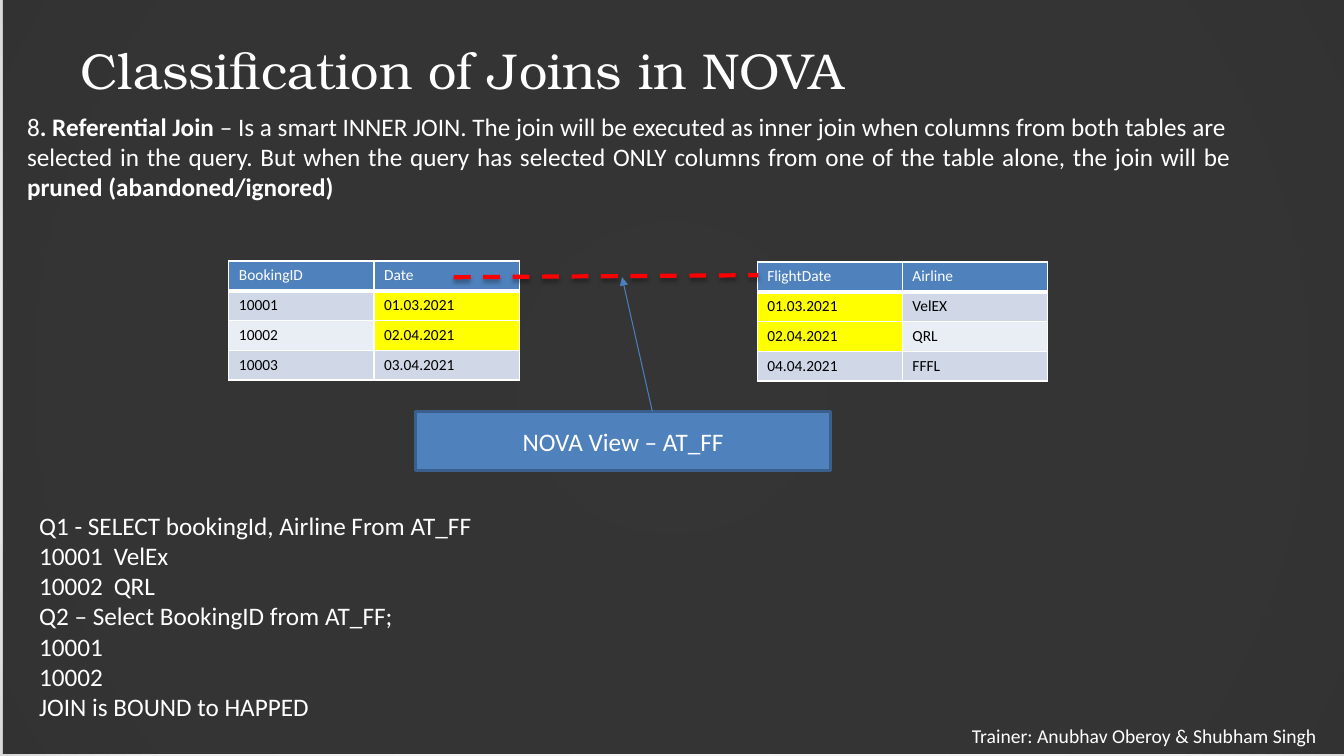
from lxml.etree import SubElement
from pptx import Presentation
from pptx.dml.color import RGBColor
from pptx.enum.dml import MSO_LINE
from pptx.enum.shapes import MSO_CONNECTOR, MSO_SHAPE
from pptx.enum.text import MSO_ANCHOR, MSO_AUTO_SIZE, PP_ALIGN
from pptx.oxml import parse_xml
from pptx.oxml.ns import nsdecls, qn
from pptx.util import Inches, Pt

COLORS = {
    "white": "FFFFFF", "black": "000000", "overlay": "262626",
    "header": "4F81BD", "box_line": "3A5F8C", "arrow": "4B7EBC",
    "odd": "D0D8E8", "even": "E9EDF4", "match": "FFFF00", "join": "FF0000",
}
BACKGROUND_STOPS = [(0, "FFFFFF"), (81, "EEEEEE"), (100, "D9D9D9")]

TITLE = "Classification of Joins in NOVA"
# A paragraph is a list of (text, bold) runs.
DEFINITION = [
    [("8", False), (". Referential Join ", True),
     ("– Is a smart INNER JOIN. The join will be executed as inner join "
      "when columns from both tables are", False)],
    [("selected in the query. But when the query has selected ONLY columns "
      "from one of the table alone, the join will be ", False),
     ("pruned (abandoned/ignored)", True)],
]
VIEW_LABEL = "NOVA View – AT_FF"
QUERIES = [
    "Q1 - SELECT bookingId, Airline From AT_FF", "VelEx", "QRL",
    "Q2 – Select BookingID from AT_FF;", "10001", "10002",
    "JOIN is BOUND to HAPPED",
]
NUMBERED_LINES, FIRST_NUMBER = (1, 2), 10001
TRAINERS = "Trainer: Anubhav Oberoy & Shubham Singh"

# left, top, joined column, rows
TABLES = [
    (2.27, 2.59, 1, [("BookingID", "Date"), ("10001", "01.03.2021"),
                     ("10002", "02.04.2021"), ("10003", "03.04.2021")]),
    (7.51, 2.6, 0, [("FlightDate", "Airline"), ("01.03.2021", "VelEX"),
                    ("02.04.2021", "QRL"), ("04.04.2021", "FFFL")]),
]
COLUMN_WIDTH, ROW_HEIGHT = 1.44, 0.295
MATCHED_ROWS = (1, 2)


def rgb(name):
    return RGBColor.from_string(COLORS[name])


def add_run(para, text, size, color="white", bold=False, font="Calibri"):
    span = para.add_run()
    span.text = text
    span.font.size, span.font.bold, span.font.name = Pt(size), bold, font
    span.font.color.rgb = rgb(color)


def add_text_box(page, left, top, width, height):
    frame = page.shapes.add_textbox(
        Inches(left), Inches(top), Inches(width), Inches(height)).text_frame
    frame.word_wrap = True
    return frame


def fill_paragraphs(frame, paragraphs, size, align=PP_ALIGN.LEFT):
    for index, runs in enumerate(paragraphs):
        para = frame.add_paragraph() if index else frame.paragraphs[0]
        para.alignment = align
        for text, bold in runs:
            add_run(para, text, size, bold=bold)


def set_wide_insets(frame):
    frame.margin_left = frame.margin_right = Inches(0.13)
    frame.margin_top = frame.margin_bottom = Inches(0.07)
    frame.vertical_anchor = MSO_ANCHOR.MIDDLE


def set_background(page):
    page.background.fill.gradient()
    gradient = page.element.find(".//" + qn("a:gradFill"))
    for child in list(gradient):
        gradient.remove(child)
    stops = SubElement(gradient, qn("a:gsLst"))
    for percent, color in BACKGROUND_STOPS:
        stop = SubElement(stops, qn("a:gs"), pos=str(percent * 1000))
        SubElement(stop, qn("a:srgbClr"), val=color)
    circle = SubElement(gradient, qn("a:path"), path="circle")
    SubElement(circle, qn("a:fillToRect"),
               {side: "50000" for side in "ltrb"})


def add_overlay(page, deck):
    overlay = page.shapes.add_shape(
        MSO_SHAPE.RECTANGLE, Inches(0.03), Inches(-0.02),
        deck.slide_width, deck.slide_height)
    overlay.shadow.inherit = False
    overlay.fill.solid()
    overlay.fill.fore_color.rgb = rgb("overlay")
    overlay.line.fill.background()
    color = overlay.element.spPr.find(".//" + qn("a:srgbClr"))
    SubElement(color, qn("a:alpha"), val="93000")
    page.shapes.title.element.addprevious(overlay.element)


def set_borders(cell, bottom_width):
    """Draw white borders, which must come before the fill in the XML."""
    properties = cell._tc.get_or_add_tcPr()
    for index, side in enumerate(("lnL", "lnR", "lnT", "lnB")):
        width = Pt(bottom_width if side == "lnB" else 1)
        properties.insert(index, parse_xml(
            f'<a:{side} {nsdecls("a")} w="{width}"><a:solidFill>'
            f'<a:srgbClr val="{COLORS["white"]}"/></a:solidFill></a:{side}>'))


def add_data_table(page, left, top, joined_column, rows):
    table = page.shapes.add_table(
        len(rows), 2, Inches(left), Inches(top), Inches(2 * COLUMN_WIDTH),
        Inches(len(rows) * ROW_HEIGHT)).table
    for column in table.columns:
        column.width = Inches(COLUMN_WIDTH)
    for row, values in enumerate(rows):
        table.rows[row].height = Inches(ROW_HEIGHT)
        for column, value in enumerate(values):
            if row == 0:
                fill = "header"
            elif row in MATCHED_ROWS and column == joined_column:
                fill = "match"
            else:
                fill = "odd" if row % 2 else "even"
            cell = table.cell(row, column)
            cell.fill.solid()
            cell.fill.fore_color.rgb = rgb(fill)
            set_borders(cell, 1 if row else 3)
            add_run(cell.text_frame.paragraphs[0], value, 11,
                    "black" if row else "white")


def add_line(page, start, end, color, width):
    line = page.shapes.add_connector(
        MSO_CONNECTOR.STRAIGHT, *map(Inches, start + end))
    line.line.color.rgb = rgb(color)
    line.line.width = Pt(width)
    effects = SubElement(line.element.spPr, qn("a:effectLst"))
    return line, effects


def add_join_line(page):
    join, effects = add_line(page, (4.5, 2.75), (7.52, 2.73), "join", 3)
    join.line.dash_style = MSO_LINE.DASH
    shadow = SubElement(effects, qn("a:outerShdw"), blurRad=str(Pt(3.1)),
                        dist=str(Pt(1.8)), dir="5400000", rotWithShape="0")
    color = SubElement(shadow, qn("a:srgbClr"), val=COLORS["black"])
    SubElement(color, qn("a:alpha"), val="35000")


def add_view_box(page):
    box = page.shapes.add_shape(MSO_SHAPE.RECTANGLE, Inches(4.12),
                                Inches(4.08), Inches(4.12), Inches(0.59))
    box.shadow.inherit = False
    box.fill.solid()
    box.fill.fore_color.rgb = rgb("header")
    box.line.color.rgb = rgb("box_line")
    box.line.width = Pt(2)
    box.text_frame.vertical_anchor = MSO_ANCHOR.MIDDLE
    fill_paragraphs(box.text_frame, [[(VIEW_LABEL, False)]], 18,
                    PP_ALIGN.CENTER)
    arrow, _ = add_line(page, (6.47, 4.08), (6.17, 2.75), "arrow", 0.75)
    SubElement(arrow.line._get_or_add_ln(), qn("a:tailEnd"), type="triangle")


def add_queries(page):
    frame = add_text_box(page, 0.29, 5.01, 6.14, 2.22)
    fill_paragraphs(frame, [[(line, False)] for line in QUERIES], 18)
    for index in NUMBERED_LINES:
        properties = frame.paragraphs[index]._p.get_or_add_pPr()
        properties.set("marL", str(Inches(0.74)))
        properties.set("indent", str(-Inches(0.74)))
        SubElement(properties, qn("a:buFont"), typeface="Calibri")
        SubElement(properties, qn("a:buAutoNum"), type="arabicPlain",
                   startAt=str(FIRST_NUMBER))


def main():
    deck = Presentation()
    deck.slide_width, deck.slide_height = Inches(13.33), Inches(7.5)
    page = deck.slides.add_slide(deck.slide_layouts[5])
    set_background(page)
    add_overlay(page, deck)

    title = page.shapes.title
    title.left, title.top = Inches(0.67), Inches(0.3)
    title.width, title.height = Inches(12), Inches(0.78)
    title.text_frame.auto_size = MSO_AUTO_SIZE.NONE
    set_wide_insets(title.text_frame)
    heading = title.text_frame.paragraphs[0]
    heading.alignment = PP_ALIGN.LEFT
    add_run(heading, TITLE, 36, font="TeX Gyre Bonum")

    fill_paragraphs(add_text_box(page, 0.17, 1.05, 12.14, 1.01),
                    DEFINITION, 18, PP_ALIGN.JUSTIFY)
    for table in TABLES:
        add_data_table(page, *table)
    add_join_line(page)
    add_view_box(page)
    add_queries(page)

    footer = add_text_box(page, 9.42, 7.14, 3.86, 0.31)
    set_wide_insets(footer)
    fill_paragraphs(footer, [[(TRAINERS, False)]], 14, PP_ALIGN.CENTER)
    deck.save("out.pptx")


if __name__ == "__main__":
    main()
